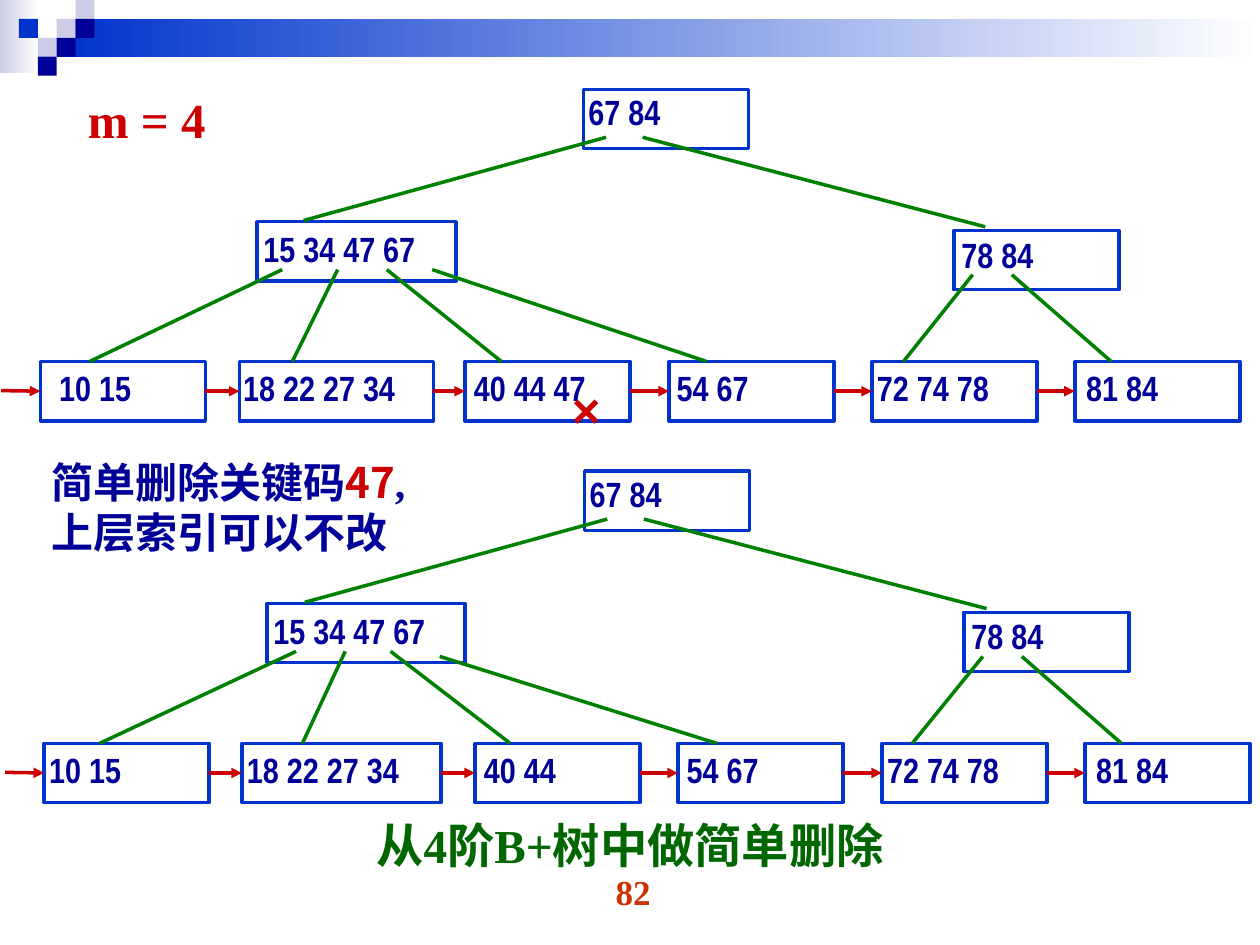
from dataclasses import dataclass

from lxml import etree
from pptx import Presentation, util as u
from pptx.dml.color import RGBColor
from pptx.enum import shapes, text
from pptx.oxml import ns


@dataclass(frozen=True)
class Theme:
    blue: str = "0033CC"
    navy: str = "000099"
    lilac: str = "CCCCE6"
    white: str = "FFFFFF"
    red: str = "CC0000"
    orange: str = "CC3300"
    branch: str = "008000"
    caption: str = "006600"
    serif: str = "Times New Roman"
    narrow: str = "Arial Narrow"
    sans: str = "Arial"
    chinese: str = "Noto Sans CJK SC"
    key_size: int = 20
    note_size: int = 24
    caption_size: int = 27
    mark_size: int = 28
    line: int = 2


THEME = Theme()
WIDTH, HEIGHT = u.Inches(10), u.Inches(7.5)
COLUMN, ROW = WIDTH // 1000, HEIGHT // 750
ROOT_ROW, LEFT_ROW, RIGHT_ROW, LEAF_ROW = 0, 105, 112, 216
NODE_HEIGHT, NODE_WIDTH = 47, 131


def place(left, top, width, height):
    return left * COLUMN, top * ROW, width * COLUMN, height * ROW


def set_font(font, size, face, color):
    font.size, font.name, font.bold = u.Pt(size), face, True
    font.color.rgb = RGBColor.from_string(color)


def add_run(paragraph, words, size, face, color):
    run = paragraph.add_run()
    run.text = words
    set_font(run.font, size, face, color)
    east_asian = etree.SubElement(run.font._element, ns.qn("a:ea"))
    east_asian.set("typeface", THEME.chinese)


def add_label(slide, box, words, size, face, color, align=text.PP_ALIGN.LEFT):
    frame = slide.shapes.add_textbox(*place(*box)).text_frame
    frame.word_wrap = True
    paragraph = frame.paragraphs[0]
    paragraph.text, paragraph.alignment = words, align
    set_font(paragraph.font, size, face, color)


def add_rectangle(slide, box):
    rectangle = slide.shapes.add_shape(shapes.MSO_SHAPE.RECTANGLE, *place(*box))
    rectangle.shadow.inherit = False
    return rectangle


def add_line(slide, start, end, color, arrow=False):
    line = slide.shapes.add_connector(
        shapes.MSO_CONNECTOR.STRAIGHT,
        start[0] * COLUMN, start[1] * ROW, end[0] * COLUMN, end[1] * ROW)
    line.line.color.rgb = RGBColor.from_string(color)
    line.line.width = u.Pt(THEME.line)
    if arrow:
        etree.SubElement(line.line._get_or_add_ln(), ns.qn("a:tailEnd"), type="triangle")
    etree.SubElement(line._element.spPr, ns.qn("a:effectLst"))
    return line


def add_banner(slide, left, top):
    fades = [((0, 0, 31, 58), THEME.lilac), ((45, 15, 955, 30), THEME.blue)]
    for (x, y, width, height), color in fades:
        band = add_rectangle(slide, (left + x, top + y, width, height))
        band.line.fill.background()
        band.fill.gradient()
        band.fill.gradient_angle = 0
        for stop, shade in zip(band.fill.gradient_stops, (color, THEME.white)):
            stop.color.rgb = RGBColor.from_string(shade)
    tiles = [(3, 1, THEME.lilac), (4, 0, THEME.lilac), (4, 1, THEME.navy),
             (2, 2, THEME.lilac), (1, 1, THEME.blue), (3, 2, THEME.navy),
             (2, 3, THEME.navy)]
    for column, row, color in tiles:
        tile = add_rectangle(slide, (left + column * 15, top + row * 15, 15, 15))
        tile.fill.solid()
        tile.fill.fore_color.rgb = RGBColor.from_string(color)
        tile.line.fill.background()


def add_node(slide, keys, left, top, width, pad_left, pad_top):
    node = add_rectangle(slide, (left, top, width, NODE_HEIGHT))
    node.fill.background()
    node.line.color.rgb = RGBColor.from_string(THEME.blue)
    node.line.width = u.Pt(THEME.line)
    frame = node.text_frame
    frame.word_wrap, frame.vertical_anchor = True, text.MSO_ANCHOR.TOP
    frame.margin_left, frame.margin_top = pad_left * COLUMN, pad_top * ROW
    frame.margin_right = frame.margin_bottom = 0
    paragraph = frame.paragraphs[0]
    paragraph.text, paragraph.alignment = keys, text.PP_ALIGN.LEFT
    set_font(paragraph.font, THEME.key_size, THEME.narrow, THEME.navy)
    return node


def add_tree(slide, left, top, tree):
    rows = [("root", ROOT_ROW, 4, 1), ("left", LEFT_ROW, 5, 5), ("right", RIGHT_ROW, 6, 2)]
    for part, row, pad_left, pad_top in rows:
        keys, x, width = tree[part]
        add_node(slide, keys, left + x, top + row, width, pad_left, pad_top)

    previous = None
    middle = top + LEAF_ROW + NODE_HEIGHT // 2
    for keys, x, width, pad in tree["leaves"]:
        leaf = add_node(slide, keys, left + x, top + LEAF_ROW, width, pad, 4)
        arrow = add_line(slide, (left + x - 31, middle), (left + x, middle), THEME.red, True)
        if previous is not None:
            arrow.begin_connect(previous, 3)
        arrow.end_connect(leaf, 1)
        previous = leaf

    for start_x, start_row, end_x, end_row in tree["branches"]:
        add_line(slide, (left + start_x, top + start_row),
                 (left + end_x, top + end_row), THEME.branch)


def add_note(slide, box):
    frame = slide.shapes.add_textbox(*place(*box)).text_frame
    frame.word_wrap = True
    lines = [[("简单删除关键码", THEME.serif, THEME.navy),
              ("47", THEME.chinese, THEME.red),
              (",", THEME.serif, THEME.navy)],
             [("上层索引可以不改", THEME.serif, THEME.navy)]]
    for index, pieces in enumerate(lines):
        paragraph = frame.add_paragraph() if index else frame.paragraphs[0]
        paragraph.line_spacing = u.Pt(28.6)
        for words, face, color in pieces:
            add_run(paragraph, words, THEME.note_size, face, color)


def add_caption(slide, box):
    caption = slide.shapes.title
    caption.left, caption.top, caption.width, caption.height = place(*box)
    frame = caption.text_frame
    frame.auto_size = text.MSO_AUTO_SIZE.NONE
    frame.vertical_anchor = text.MSO_ANCHOR.TOP
    paragraph = frame.paragraphs[0]
    paragraph.alignment = text.PP_ALIGN.CENTER
    paragraph.line_spacing = u.Pt(34)
    add_run(paragraph, "从4阶B+树中做简单删除", THEME.caption_size, THEME.serif, THEME.caption)


BEFORE = {
    "root": ("67 84", 463, NODE_WIDTH),
    "left": ("15 34 47 67", 204, 158),
    "right": ("78 84", 757, NODE_WIDTH),
    "leaves": [("10 15", 32, NODE_WIDTH, 15), ("18 22 27 34", 190, 154, 3),
               ("40 44 47", 369, NODE_WIDTH, 7), ("54 67", 531, NODE_WIDTH, 6),
               ("72 74 78", 692, NODE_WIDTH, 4), ("81 84", 853, NODE_WIDTH, 9)],
    "branches": [(481, 38, 241, 104), (510, 38, 782, 109),
                 (224, 143, 71, LEAF_ROW), (268, 143, 232, LEAF_ROW),
                 (307, 143, 398, LEAF_ROW), (343, 143, 561, LEAF_ROW),
                 (772, 147, 717, LEAF_ROW), (803, 147, 882, LEAF_ROW)],
}
AFTER = {
    "root": ("67 84", 464, NODE_WIDTH),
    "left": ("15 34 47 67", 212, 157),
    "right": ("78 84", 765, NODE_WIDTH),
    "leaves": [("10 15", 35, NODE_WIDTH, 4), ("18 22 27 34", 192, 158, 4),
               ("40 44", 377, NODE_WIDTH, 7), ("54 67", 538, NODE_WIDTH, 7),
               ("72 74 78", 700, NODE_WIDTH, 4), ("81 84", 861, NODE_WIDTH, 9)],
    "branches": [(482, 38, 242, 104), (511, 38, 783, 109),
                 (235, 143, 79, LEAF_ROW), (274, 143, 240, LEAF_ROW),
                 (310, 143, 405, LEAF_ROW), (349, 147, 569, LEAF_ROW),
                 (780, 147, 724, LEAF_ROW), (811, 147, 890, LEAF_ROW)],
}


def main():
    deck = Presentation()
    deck.slide_width, deck.slide_height = WIDTH, HEIGHT
    slide = deck.slides.add_slide(deck.slide_layouts[5])
    add_banner(slide, 0, 0)
    add_caption(slide, (50, 641, 900, 73))
    add_label(slide, (386, 686, 233, 52), "82", THEME.key_size, THEME.serif,
              THEME.orange, text.PP_ALIGN.CENTER)
    add_label(slide, (60, 66, 156, 96), "m = 4", THEME.mark_size, THEME.serif, THEME.red)
    add_tree(slide, 0, 71, BEFORE)
    add_label(slide, (444, 296, 65, 71), "×", THEME.mark_size, THEME.sans, THEME.red)
    add_note(slide, (31, 358, 330, 96))
    add_tree(slide, 0, 374, AFTER)
    deck.save("out.pptx")


if __name__ == "__main__":
    main()
